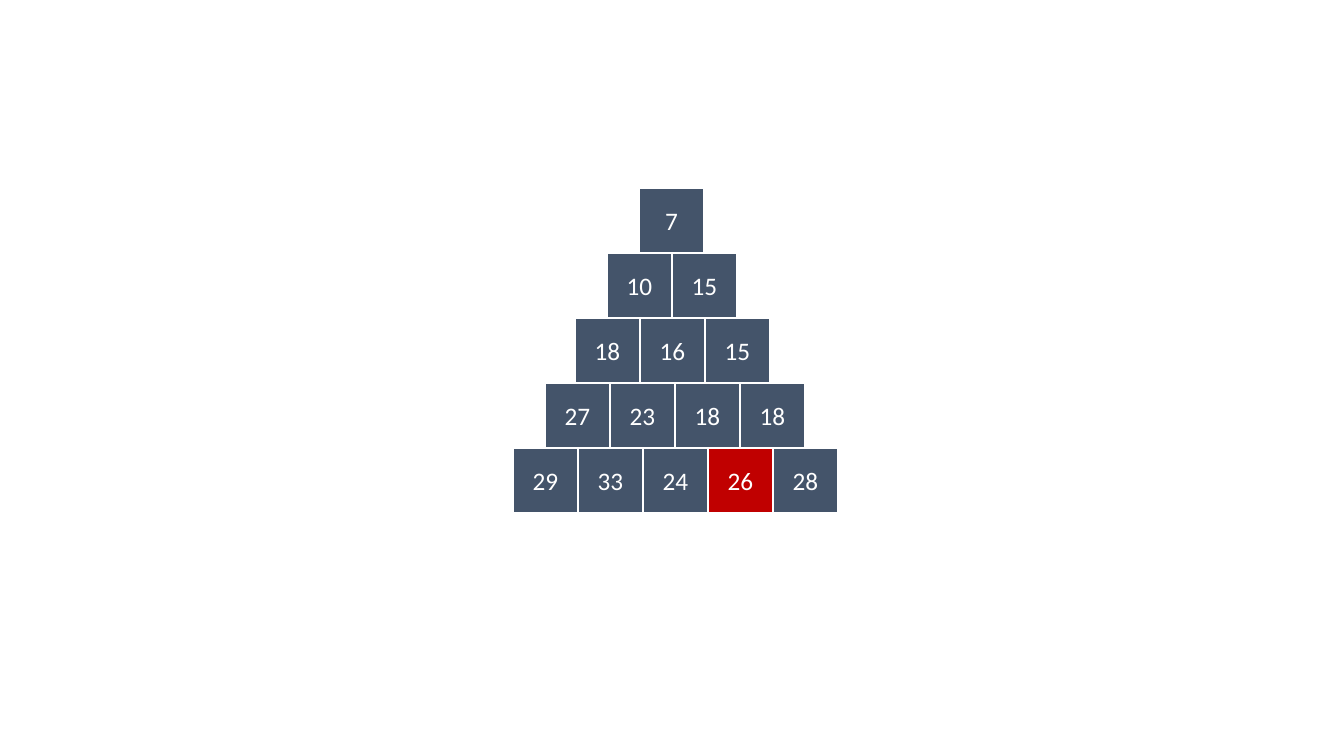
from pptx import Presentation
from pptx.dml.color import RGBColor
from pptx.enum.shapes import MSO_SHAPE
from pptx.enum.text import MSO_ANCHOR, PP_ALIGN
from pptx.util import Emu, Pt

SLATE = RGBColor(0x44, 0x54, 0x6A)
RED = RGBColor(0xC0, 0x00, 0x00)
WHITE = RGBColor(0xFF, 0xFF, 0xFF)
SIDE = 65
TOP = 188


def px(n):
    return Emu(round(n * 914400 / 100.8))


prs = Presentation()
prs.slide_width = px(1344)
prs.slide_height = px(756)
s = prs.slides.add_slide(prs.slide_layouts[6])

rows = [
    (639, [7]),
    (607, [10, 15]),
    (575, [18, 16, 15]),
    (545, [27, 23, 18, 18]),
    (513, [29, 33, 24, 26, 28]),
]

for i, (left, values) in enumerate(rows):
    for j, value in enumerate(values):
        sp = s.shapes.add_shape(MSO_SHAPE.RECTANGLE, px(left + j * SIDE),
                                px(TOP + i * SIDE), px(SIDE), px(SIDE))
        sp.shadow.inherit = False
        sp.fill.solid()
        sp.fill.fore_color.rgb = RED if value == 26 else SLATE
        sp.line.color.rgb = WHITE
        sp.line.width = Pt(1)
        tf = sp.text_frame
        tf.text = str(value)
        tf.vertical_anchor = MSO_ANCHOR.MIDDLE
        p = tf.paragraphs[0]
        p.alignment = PP_ALIGN.CENTER
        r = p.runs[0]
        r.font.name = "Calibri"
        r.font.size = Pt(18)
        r.font.color.rgb = WHITE

prs.save("out.pptx")
